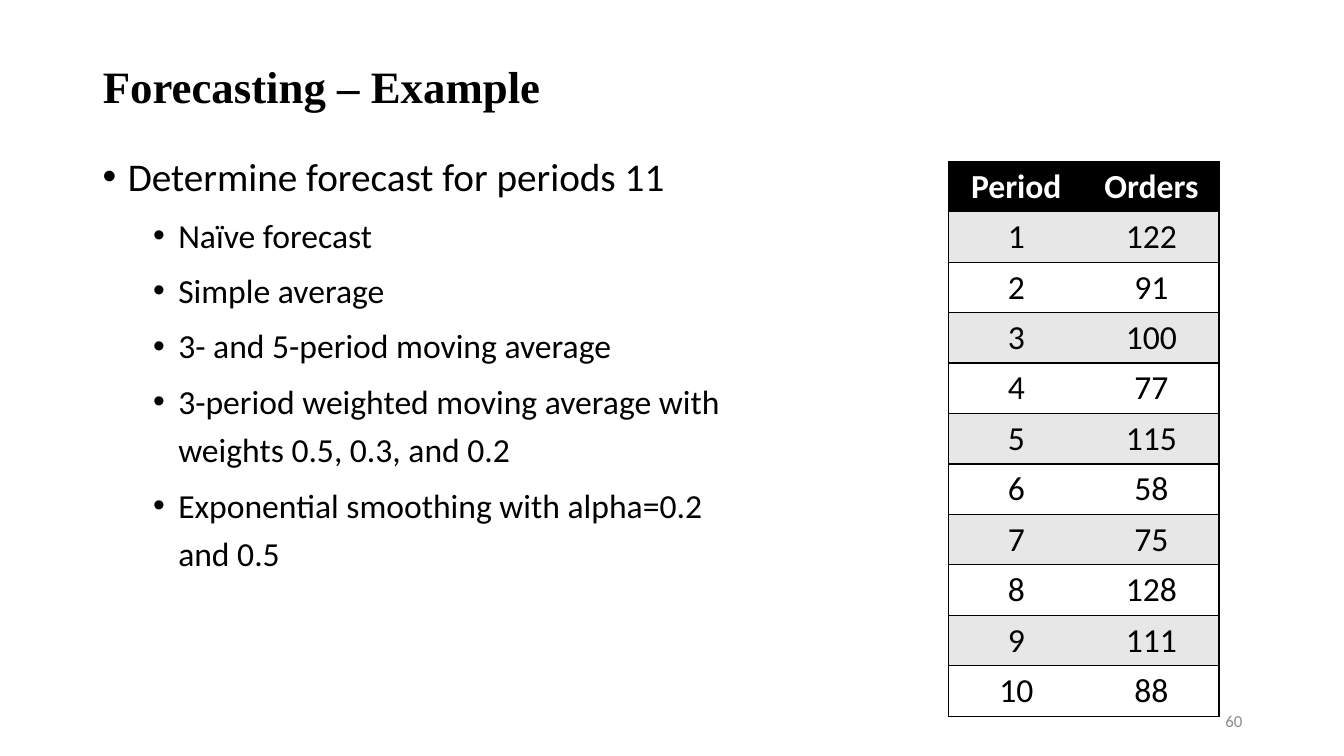
from lxml import etree
from pptx import Presentation, util as u
from pptx.dml.color import RGBColor
from pptx.enum import text
from pptx.oxml import ns


def style(target, color, **values):
    """Set the font of a paragraph or run."""
    for name, value in values.items():
        setattr(target.font, name, value)
    target.font.color.rgb = RGBColor.from_string(color)


def border(cell, side, color=None):
    """Draw a 1 pt cell edge, or hide it when no colour is given."""
    ln = etree.SubElement(cell._tc.get_or_add_tcPr(), ns.qn(f"a:ln{side}"), w=str(u.Pt(1)))
    fill = etree.SubElement(ln, ns.qn("a:solidFill" if color else "a:noFill"))
    if color:
        etree.SubElement(fill, ns.qn("a:srgbClr"), val=color)


prs = Presentation()
prs.slide_width, prs.slide_height = u.Inches(13.33), u.Inches(7.5)
s = prs.slides.add_slide(prs.slide_layouts[5])

title = s.shapes.title
title.left, title.top = u.Inches(0.92), u.Inches(0.4)
title.width, title.height = u.Inches(11.5), u.Inches(0.97)
tf = title.text_frame
tf.text = "Forecasting – Example"
tf.vertical_anchor = text.MSO_ANCHOR.MIDDLE
p = tf.paragraphs[0]
p.alignment, p.line_spacing = text.PP_ALIGN.LEFT, 0.9
style(p.runs[0], "000000", name="Times New Roman", size=u.Pt(32), bold=True)

# Task list
tasks = [
    (0, "Determine forecast for periods 11"),
    (1, "Naïve forecast"),
    (1, "Simple average"),
    (1, "3- and 5-period moving average"),
    (1, "3-period weighted moving average with weights 0.5, 0.3, and 0.2"),
    (1, "Exponential smoothing with alpha=0.2 and 0.5"),
]
tf = s.shapes.add_textbox(u.Inches(0.92), u.Inches(1.37), u.Inches(6.57), u.Inches(5.41)).text_frame
tf.word_wrap = True
for i, (level, task) in enumerate(tasks):
    p = tf.add_paragraph() if i else tf.paragraphs[0]
    p.level, p.line_spacing = level, 1.2
    p.space_before = u.Pt(5 if i else 0)
    pPr = p._p.get_or_add_pPr()
    pPr.set("marL", str(u.Inches(0.25 + 0.5 * level)))
    pPr.set("indent", str(u.Inches(-0.25)))
    etree.SubElement(pPr, ns.qn("a:buFont"), typeface="Arial")
    etree.SubElement(pPr, ns.qn("a:buChar"), char="•")
    r = p.add_run()
    r.text = task
    style(r, "000000", name="Calibri", size=u.Pt(24 if level else 28))

# Orders table
orders = [122, 91, 100, 77, 115, 58, 75, 128, 111, 88]
rows = [("Period", "Orders"), *enumerate(orders, 1)]
table = s.shapes.add_table(len(rows), 2, u.Inches(9.41), u.Inches(1.6),
                           u.Inches(2.68), u.Inches(5.5)).table
table.horz_banding = False
for i, row in enumerate(rows):
    for j, value in enumerate(row):
        cell = table.cell(i, j)
        border(cell, "L", None if j else "000000")
        border(cell, "R", "000000" if j else None)
        border(cell, "T", "000000")
        border(cell, "B", "000000")
        cell.fill.solid()
        band = "E7E7E7" if i % 2 else "FFFFFF"
        cell.fill.fore_color.rgb = RGBColor.from_string(band if i else "000000")
        cell.text = str(value)
        p = cell.text_frame.paragraphs[0]
        p.alignment = text.PP_ALIGN.CENTER
        style(p.runs[0], "000000" if i else "FFFFFF", name="Calibri", size=u.Pt(24), bold=i == 0)

# Slide number
tf = s.shapes.add_textbox(u.Inches(9.42), u.Inches(6.95), u.Inches(3), u.Inches(0.4)).text_frame
tf.word_wrap = True
tf.vertical_anchor = text.MSO_ANCHOR.MIDDLE
tf.text = "60"
p = tf.paragraphs[0]
p.alignment = text.PP_ALIGN.RIGHT
style(p.runs[0], "8C8C8C", name="Calibri", size=u.Pt(12))

prs.save("out.pptx")
